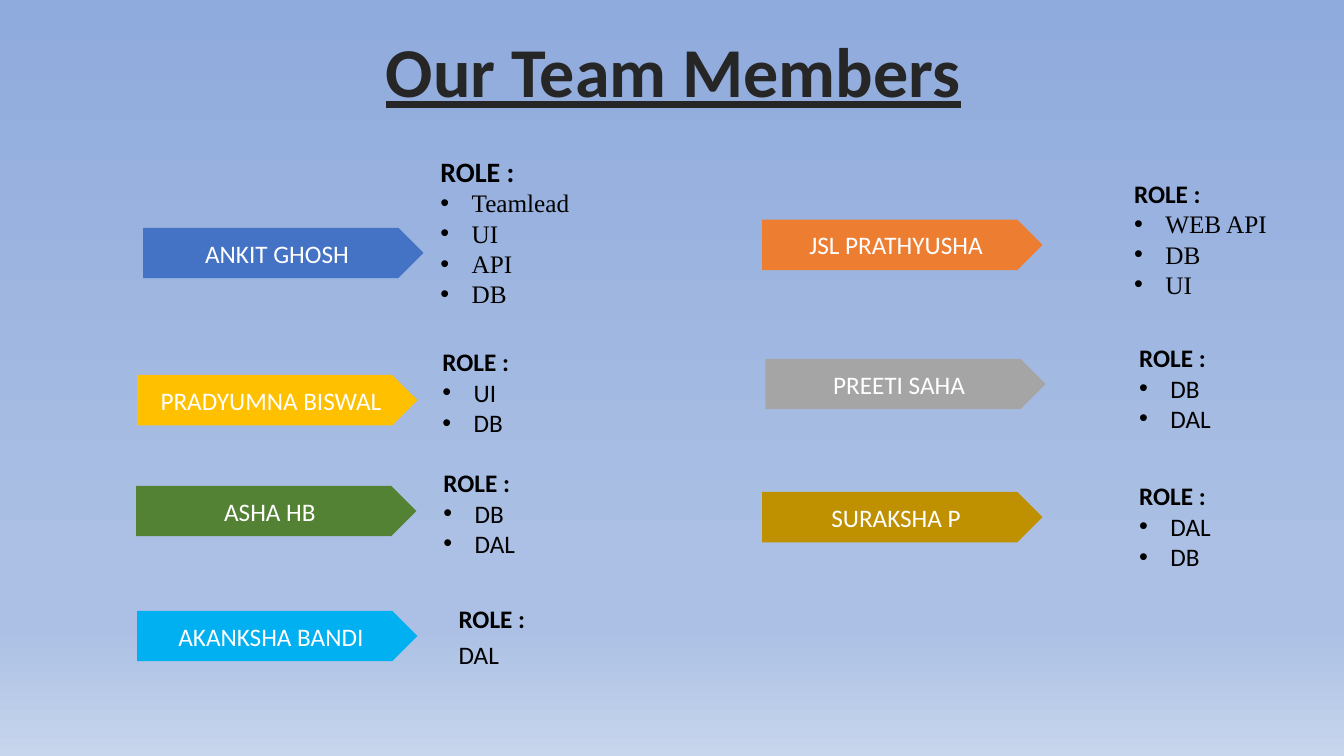
"""Builds the team members slide: name arrows with a role list beside each."""
import pptx
import pptx.util
import pptx.dml.color
import pptx.enum.shapes
import pptx.enum.text
import pptx.oxml.ns
import lxml.etree

PX = 9144
COLORS = {
    "title": "262626", "black": "000000", "white": "FFFFFF",
    "blue": "4472C4", "amber": "FFC000", "orange": "ED7D31", "grey": "A5A5A5",
    "green": "548235", "gold": "BF9000", "sky": "00B0F0",
}
BACKGROUND = {0: "8FAADC", 74: "ABC0E4", 83: "ABC0E4", 100: "C7D5ED"}
ARROW_SIZE = (278, 50)
INDENT = 31
MEMBERS = [
    ("ANKIT GHOSH", "blue", (142, 226)),
    ("PRADYUMNA BISWAL", "amber", (136, 372)),
    ("ASHA HB", "green", (135, 482)),
    ("AKANKSHA BANDI", "sky", (136, 606)),
    ("JSL PRATHYUSHA", "orange", (756, 218)),
    ("PREETI SAHA", "grey", (759, 356)),
    ("SURAKSHA P", "gold", (756, 488)),
]
ROLES = [
    ((427, 148, 250, 195), True, 20, "Times New Roman", ["Teamlead", "UI", "API", "DB"]),
    ((429, 339, 107, 101), True, 18, "Calibri", ["UI", "DB"]),
    ((430, 459, 92, 101), False, 18, "Calibri", ["DB", "DAL"]),
    ((1115, 172, 153, 131), False, 18, "Times New Roman", ["WEB API", "DB", "UI"]),
    ((1120, 335, 92, 101), False, 18, "Calibri", ["DB", "DAL"]),
    ((1120, 472, 92, 101), False, 18, "Calibri", ["DAL", "DB"]),
]
qn = pptx.oxml.ns.qn
ANCHOR = pptx.enum.text.MSO_ANCHOR
ALIGN = pptx.enum.text.PP_ALIGN
AUTO = pptx.enum.text.MSO_AUTO_SIZE


def box(*lengths):
    return [n * PX for n in lengths]


def write(p, text, color, size=18, **formats):
    r = p.add_run()
    r.text = text
    values = {"name": "Calibri", "size": pptx.util.Pt(size), **formats}
    for key, value in values.items():
        setattr(r.font, key, value)
    r.font.color.rgb = pptx.dml.color.RGBColor.from_string(COLORS[color])


prs = pptx.Presentation()
prs.slide_width, prs.slide_height = box(1333, 750)
s = prs.slides.add_slide(prs.slide_layouts[5])

fill = s.background.fill
fill.gradient()
fill.gradient_angle = 270
stops = s.element.find(".//" + qn("a:gsLst"))
stops.clear()
for position, color in BACKGROUND.items():
    stop = lxml.etree.SubElement(stops, qn("a:gs"), pos=str(position * 1000))
    lxml.etree.SubElement(stop, qn("a:srgbClr"), val=color)

title = s.shapes.title
title.left, title.top, title.width, title.height = box(35, 37, 1266, 79)
tf = title.text_frame
tf.auto_size = AUTO.NONE
tf.vertical_anchor = ANCHOR.MIDDLE
p = tf.paragraphs[0]
p.alignment = ALIGN.CENTER
p.line_spacing = 0.8
write(p, "Our Team Members", "title", 50, bold=True, underline=True)

for name, color, place in MEMBERS:
    sp = s.shapes.add_shape(pptx.enum.shapes.MSO_SHAPE.PENTAGON, *box(*place, *ARROW_SIZE))
    sp.shadow.inherit = False
    sp.fill.solid()
    sp.fill.fore_color.rgb = pptx.dml.color.RGBColor.from_string(COLORS[color])
    sp.line.fill.background()
    tf = sp.text_frame
    tf.vertical_anchor = ANCHOR.MIDDLE
    p = tf.paragraphs[0]
    p.alignment = ALIGN.CENTER
    write(p, name, "white")

for place, wrap, head_size, font, duties in ROLES:
    tf = s.shapes.add_textbox(*box(*place)).text_frame
    tf.word_wrap = wrap
    tf.auto_size = AUTO.SHAPE_TO_FIT_TEXT
    write(tf.paragraphs[0], "ROLE :", "black", head_size, bold=True)
    for duty in duties:
        p = tf.add_paragraph()
        pPr = p._p.get_or_add_pPr()
        pPr.set("marL", str(INDENT * PX))
        pPr.set("indent", str(-INDENT * PX))
        lxml.etree.SubElement(pPr, qn("a:buFont"), typeface="Arial")
        lxml.etree.SubElement(pPr, qn("a:buChar"), char="•")
        write(p, duty, "black", name=font)

tf = s.shapes.add_textbox(*box(445, 606, 240, 50)).text_frame
tf.word_wrap = True
tf.vertical_anchor = ANCHOR.MIDDLE
write(tf.paragraphs[0], "ROLE :", "black", bold=True)
p = tf.add_paragraph()
p.space_before = pptx.util.Pt(4)
write(p, "DAL", "black")

prs.save("out.pptx")
